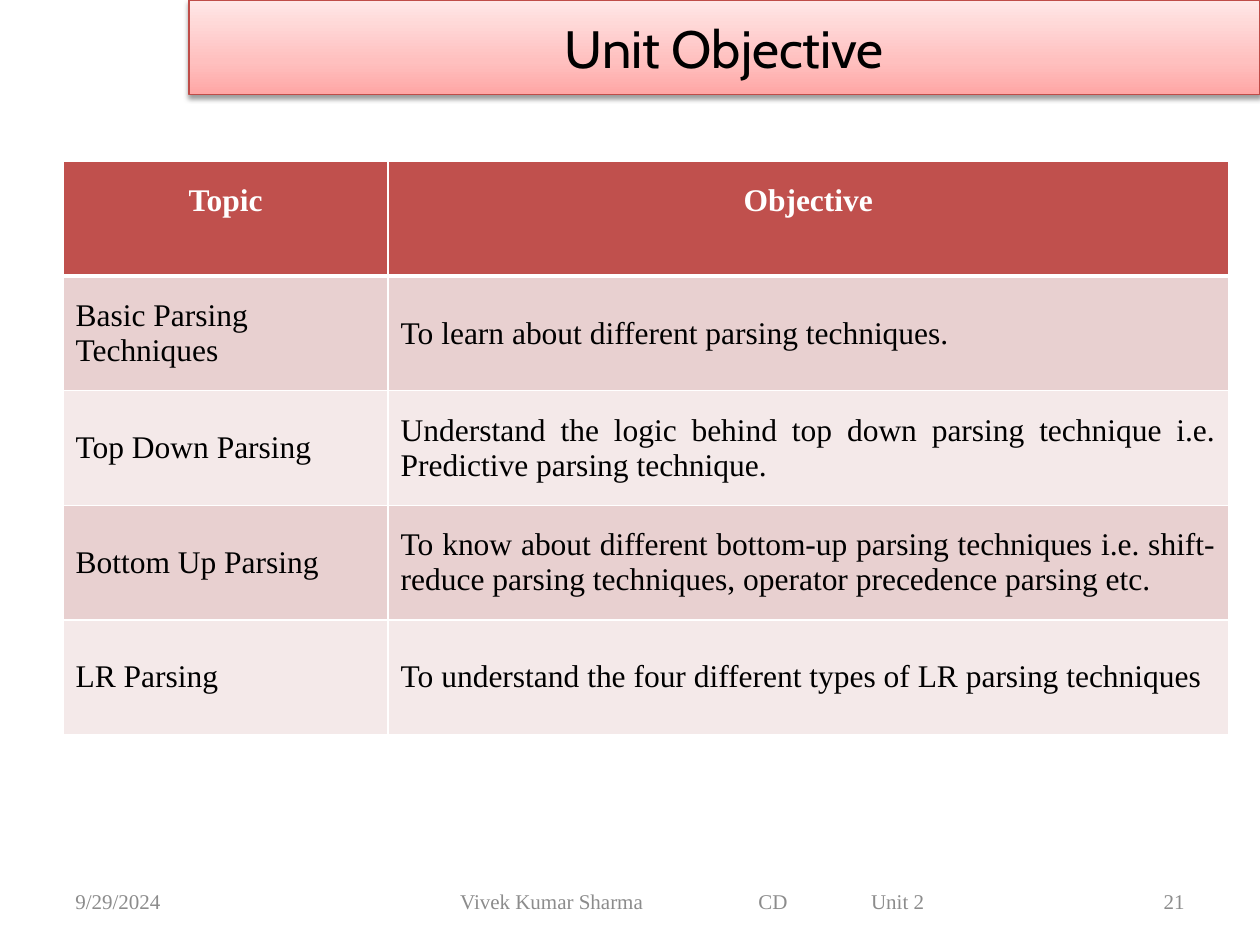
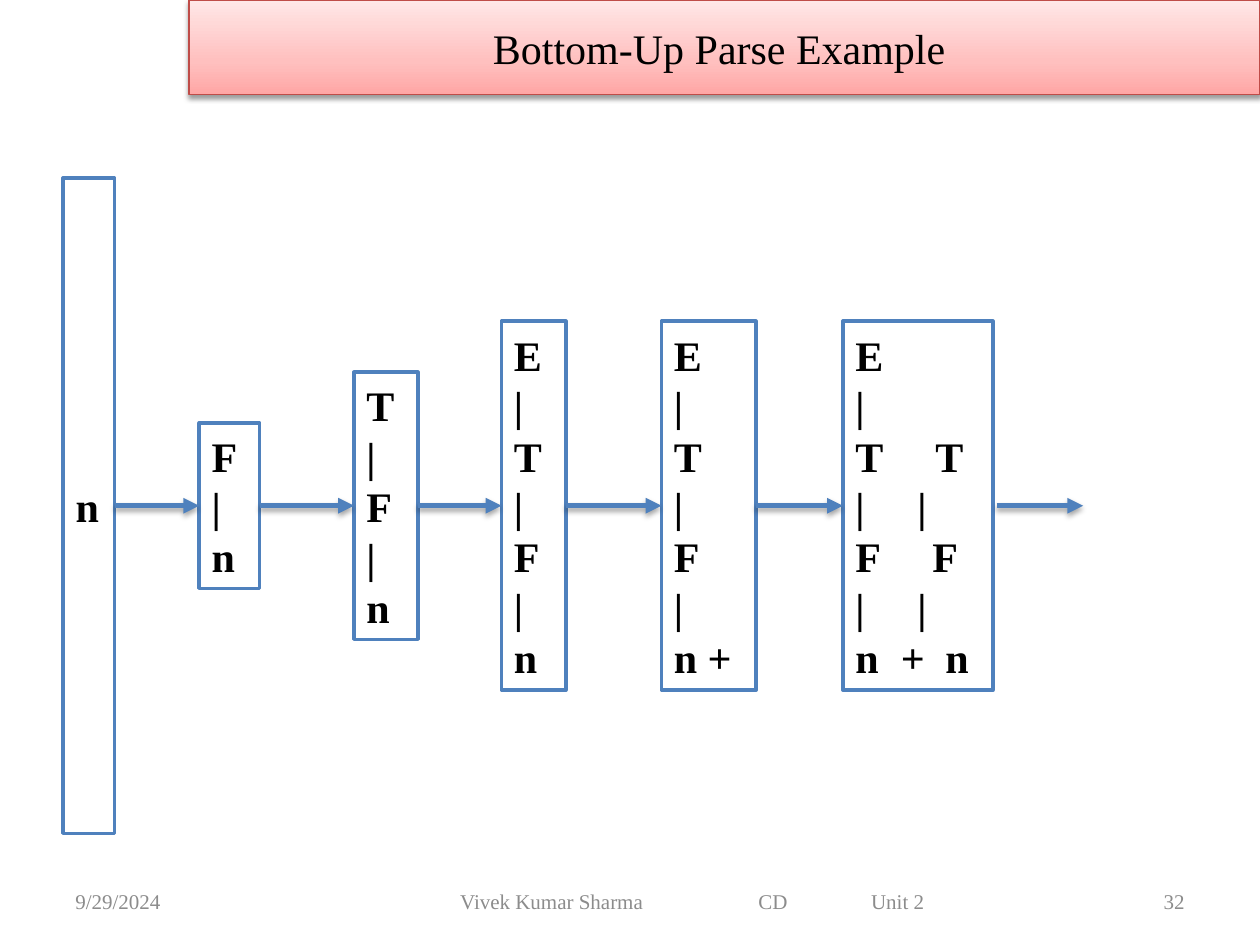
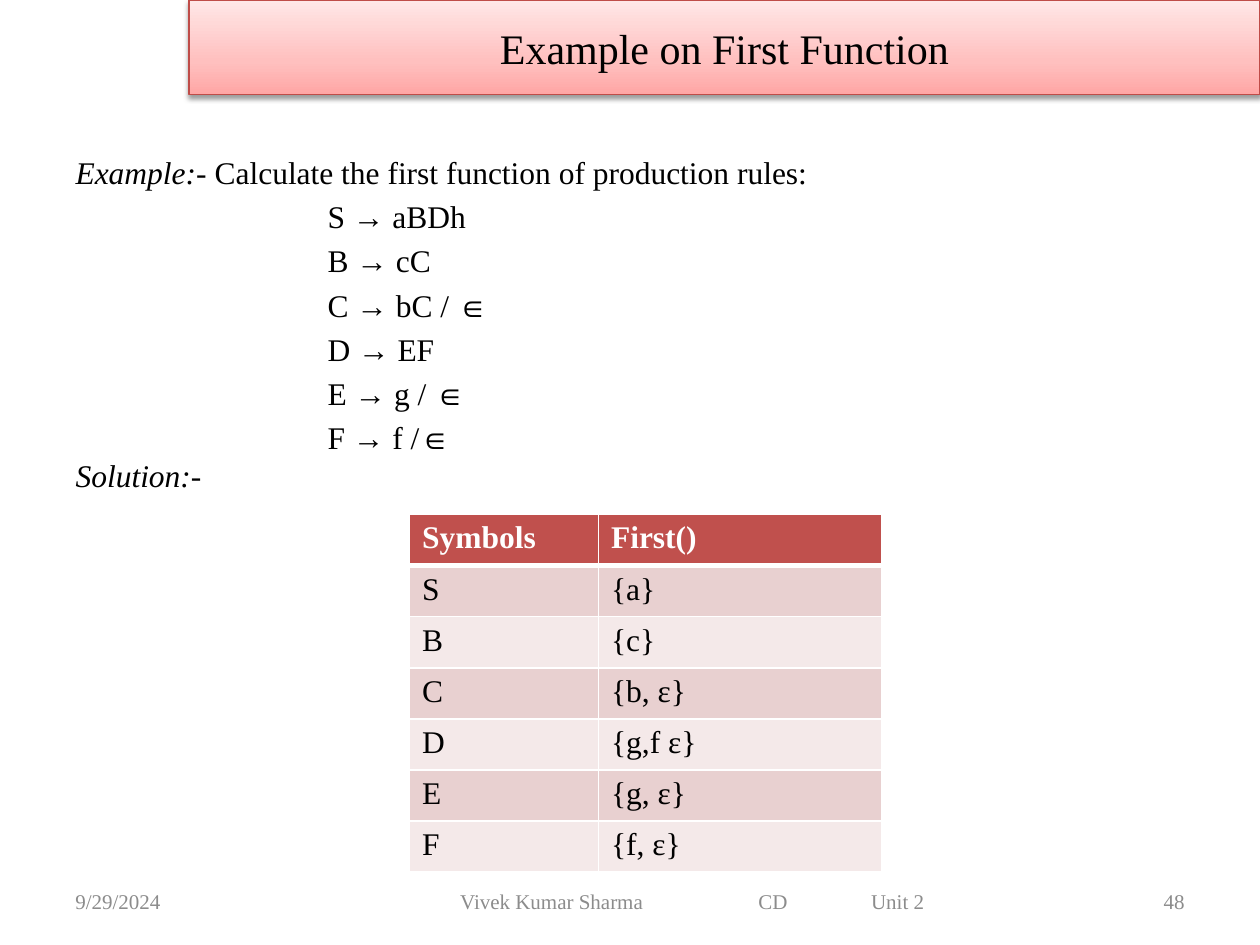
from lxml import etree
from pptx import Presentation
from pptx.dml.color import RGBColor
from pptx.enum import shapes, text
from pptx.oxml import ns, parse_xml
from pptx.util import Pt

WHITE = RGBColor(0xFF, 0xFF, 0xFF)
BLACK = RGBColor(0, 0, 0)
GREY = RGBColor(0x8C, 0x8C, 0x8C)
BLUE = RGBColor(0x4F, 0x81, 0xBD)
BAND_EDGE = RGBColor(0xBF, 0x4C, 0x48)
BAND_STOPS = [(0, RGBColor(0xFF, 0xA6, 0xA5)), (35, RGBColor(0xFF, 0xC0, 0xBF)),
              (100, RGBColor(0xFF, 0xE7, 0xE7))]
HEADER_RED = RGBColor(0xC0, 0x50, 0x4D)
ROW_TINTS = [RGBColor(0xE8, 0xD0, 0xD0), RGBColor(0xF4, 0xE9, 0xE9)]
SERIF, SANS = "Times New Roman", "Cabin"
LEFT, CENTER, RIGHT, JUSTIFY = (text.PP_ALIGN.LEFT, text.PP_ALIGN.CENTER,
                                text.PP_ALIGN.RIGHT, text.PP_ALIGN.JUSTIFY)
MIDDLE, TOP = text.MSO_ANCHOR.MIDDLE, text.MSO_ANCHOR.TOP

DATE = "9/29/2024"
COURSE = "Vivek Kumar Sharma\tCD\tUnit 2"
COURSE_LEFT, COURSE_TABS = 263, [170.4, 234.8]
FOOTER_TOP, FOOTER_HEIGHT = 500.4, 28.8

OBJECTIVES = [
    ("Topic", "Objective"),
    ("Basic Parsing Techniques", "To learn about different parsing techniques."),
    ("Top Down Parsing", "Understand the logic behind top down parsing technique i.e. "
     "Predictive parsing technique."),
    ("Bottom Up Parsing", "To know about different bottom-up parsing techniques i.e. "
     "shift-reduce parsing techniques, operator precedence parsing etc."),
    ("LR Parsing", "To understand the four different types of LR parsing techniques"),
]

# left, width, lines of the tree
PARSE_STEPS = [
    (36, 29.5, ["n"]),
    (113.8, 34.6, ["F", "|", "n"]),
    (202.3, 36.5, ["T", "|", "F", "|", "n"]),
    (286.6, 36.7, ["E", "|", "T", "|", "F", "|", "n"]),
    (378, 54, ["E", "|", "T", "|", "F", "|", "n +"]),
    (481.7, 85.7, ["E", "|", "T\tT", "|\t|", "F\tF", "|\t|", "n\t+\tn"]),
]
TREE_TABS = {"T\tT": [45.7], "|\t|": [35.5], "F\tF": [44], "n\t+\tn": [26, 51.5]}
PARSE_AXIS, TREE_LINE, FIRST_HEIGHT = 289, 29.1, 374.4
LAST_ARROW = (569.5, 619)

PRODUCTIONS = ["S → aBDh", "B → cC", "C → bC / ∈", "D → EF", "E → g / ∈", "F → f /∈"]
FIRST_SETS = [("Symbols", "First()"), ("S", "{a}"), ("B", "{c}"), ("C", "{b, ε}"),
              ("D", "{g,f ε}"), ("E", "{g, ε}"), ("F", "{f, ε}")]


def style(paragraph, size, color=BLACK, font=SERIF, bold=False):
    for run in paragraph.runs:
        run.font.size, run.font.name, run.font.bold = Pt(size), font, bold
        run.font.color.rgb = color


def place(shape, left, top, width, height):
    shape.left, shape.top, shape.width, shape.height = map(Pt, (left, top, width, height))


def add_tabs(paragraph, stops):
    tabs = etree.SubElement(paragraph._p.get_or_add_pPr(), ns.qn("a:tabLst"))
    for stop in stops:
        etree.SubElement(tabs, ns.qn("a:tab"), pos=str(Pt(stop)), algn="l")


def make_plain(paragraph, indent=0):
    """Drop the bullet and the inherited spacing of a body paragraph."""
    properties = paragraph._p.get_or_add_pPr()
    properties.set("marL", str(Pt(indent)))
    properties.set("indent", "0")
    paragraph.space_before = Pt(0)
    etree.SubElement(properties, ns.qn("a:buNone"))


def add_shadow(shape, opacity, distance):
    shape._element.spPr.append(parse_xml(
        f'<a:effectLst {ns.nsdecls("a")}><a:outerShdw blurRad="{Pt(3.1)}" '
        f'dist="{Pt(distance)}" dir="5400000" rotWithShape="0"><a:srgbClr val="000000">'
        f'<a:alpha val="{opacity * 1000}"/></a:srgbClr></a:outerShdw></a:effectLst>'))


def set_title(slide, title, size=24, font=SERIF):
    band = slide.shapes.title
    place(band, 108, 0, 612, 54)
    band.line.color.rgb, band.line.width = BAND_EDGE, Pt(0.75)
    stops = "".join(f'<a:gs pos="{at * 1000}"><a:srgbClr val="{color}"/></a:gs>'
                    for at, color in BAND_STOPS)
    band._element.spPr.find(ns.qn("a:ln")).addprevious(parse_xml(
        f'<a:gradFill {ns.nsdecls("a")} rotWithShape="1"><a:gsLst>{stops}</a:gsLst>'
        '<a:lin ang="16200000" scaled="0"/></a:gradFill>'))
    add_shadow(band, 38, 1.6)
    frame = band.text_frame
    frame.text, frame.vertical_anchor = title, MIDDLE
    frame.auto_size = text.MSO_AUTO_SIZE.NONE
    frame.paragraphs[0].alignment = CENTER
    style(frame.paragraphs[0], size, font=font)


def add_footer(slide, number, course_box):
    course_left, course_width = course_box
    for left, width, words, alignment in [(36, 168, DATE, LEFT),
                                          (516, 168, number, RIGHT),
                                          (course_left, course_width, COURSE, LEFT)]:
        frame = slide.shapes.add_textbox(Pt(left), Pt(FOOTER_TOP), Pt(width),
                                         Pt(FOOTER_HEIGHT)).text_frame
        frame.word_wrap, frame.vertical_anchor = True, MIDDLE
        paragraph = frame.paragraphs[0]
        paragraph.text, paragraph.alignment = words, alignment
        if words == COURSE:
            frame.margin_left = Pt(COURSE_LEFT - left)
            add_tabs(paragraph, COURSE_TABS)
        style(paragraph, 12, GREY)


def start_slide(deck, layout, title, number, course_box=(198, 396), **title_style):
    slide = deck.slides.add_slide(deck.slide_layouts[layout])
    set_title(slide, title, **title_style)
    add_footer(slide, number, course_box)
    return slide


def set_borders(cell, row):
    properties = cell._tc.get_or_add_tcPr()
    widths = {"lnL": 1, "lnR": 1, "lnT": 3 if row == 1 else 1, "lnB": 3 if row == 0 else 1}
    for side, width in widths.items():
        properties.append(parse_xml(
            f'<a:{side} {ns.nsdecls("a")} w="{Pt(width)}"><a:solidFill>'
            f'<a:srgbClr val="{WHITE}"/></a:solidFill></a:{side}>'))


def add_grid(slide, rows, left, top, widths, row_height, anchor):
    table = slide.shapes.add_table(len(rows), len(widths), Pt(left), Pt(top),
                                   Pt(sum(widths)), Pt(row_height * len(rows))).table
    for column, width in zip(table.columns, widths):
        column.width = Pt(width)
    for r, row in enumerate(rows):
        table.rows[r].height = Pt(row_height)
        for c, words in enumerate(row):
            cell = table.cell(r, c)
            set_borders(cell, r)
            cell.fill.solid()
            cell.fill.fore_color.rgb = ROW_TINTS[(r - 1) % 2] if r else HEADER_RED
            cell.text, cell.vertical_anchor = words, anchor
            style(cell.text_frame.paragraphs[0], 18, BLACK if r else WHITE, bold=r == 0)
    return table


def add_arrow(slide, start, end):
    arrow = slide.shapes.add_connector(shapes.MSO_CONNECTOR.STRAIGHT, Pt(start),
                                       Pt(PARSE_AXIS), Pt(end), Pt(PARSE_AXIS))
    arrow.line.color.rgb, arrow.line.width = BLUE, Pt(3)
    etree.SubElement(arrow.line._get_or_add_ln(), ns.qn("a:tailEnd"), type="triangle")
    add_shadow(arrow, 35, 1.8)


def fill_tree(tree, left, width, lines, height):
    place(tree, left, PARSE_AXIS - height / 2, width, height)
    tree.fill.solid()
    tree.fill.fore_color.rgb = WHITE
    tree.line.color.rgb, tree.line.width = BLUE, Pt(2)
    frame = tree.text_frame
    frame.text = "\n".join(lines)
    frame.word_wrap, frame.vertical_anchor = True, MIDDLE
    frame.auto_size = text.MSO_AUTO_SIZE.NONE
    for paragraph in frame.paragraphs:
        paragraph.alignment = LEFT
        if tree.is_placeholder:
            make_plain(paragraph)
        if paragraph.text in TREE_TABS:
            add_tabs(paragraph, TREE_TABS[paragraph.text])
        style(paragraph, 24, bold=True)


def build_objectives(deck):
    slide = start_slide(deck, 5, "Unit Objective", "21", size=30, font=SANS)
    table = add_grid(slide, OBJECTIVES, 36, 92.2, [185.8, 480.2], 65.52, MIDDLE)
    for r in range(len(OBJECTIVES)):
        table.cell(r, 1).text_frame.paragraphs[0].alignment = JUSTIFY if r else CENTER
    table.cell(0, 0).text_frame.paragraphs[0].alignment = CENTER
    for heading in table.rows[0].cells:
        heading.margin_bottom = Pt(24)


def build_parse(deck):
    slide = start_slide(deck, 1, "Bottom-Up Parse Example ", "32")
    first, *later = PARSE_STEPS
    fill_tree(slide.placeholders[1], *first, FIRST_HEIGHT)
    for left, width, lines in later:
        tree = slide.shapes.add_shape(shapes.MSO_SHAPE.RECTANGLE, 0, 0, 0, 0)
        tree.shadow.inherit = False
        fill_tree(tree, left, width, lines, 7.2 + TREE_LINE * len(lines))
    for (left, width, _), (next_left, _, _) in zip(PARSE_STEPS, later):
        add_arrow(slide, left + width, next_left)
    add_arrow(slide, *LAST_ARROW)


def build_first(deck):
    slide = start_slide(deck, 1, "Example on First Function", "48", (246.2, 300.2))
    body = slide.placeholders[1]
    place(body, 36, 84, 648, 398.2)
    frame = body.text_frame
    frame.auto_size, frame.vertical_anchor = text.MSO_AUTO_SIZE.NONE, TOP
    frame.text = "\n".join(["Example:- ", *PRODUCTIONS, "Solution:-"])
    example, *rules, solution = frame.paragraphs
    example.add_run().text = "Calculate the first function of production rules:"
    for rule in rules:
        make_plain(rule, indent=144)
        rule.space_before = Pt(3.6)
        style(rule, 18)
    for label in (example, solution):
        make_plain(label)
        label.alignment = JUSTIFY
        style(label, 18)
        label.runs[0].font.italic = True
    add_grid(slide, FIRST_SETS, 234, 294, [108, 162], 29.2, TOP)


def main():
    deck = Presentation()
    deck.slide_width, deck.slide_height = Pt(720), Pt(540)
    build_objectives(deck)
    build_parse(deck)
    build_first(deck)
    deck.save("out.pptx")


if __name__ == "__main__":
    main()
